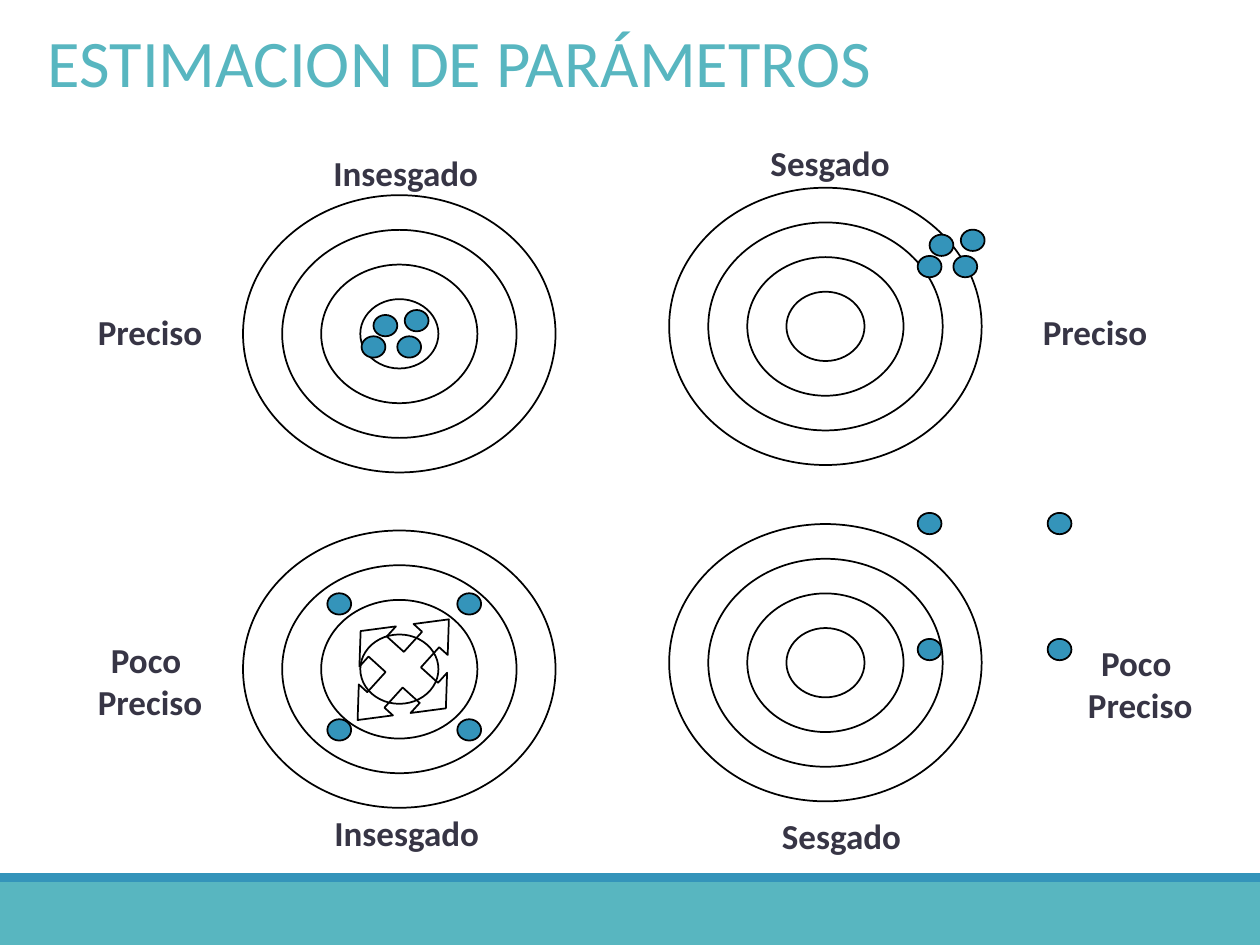
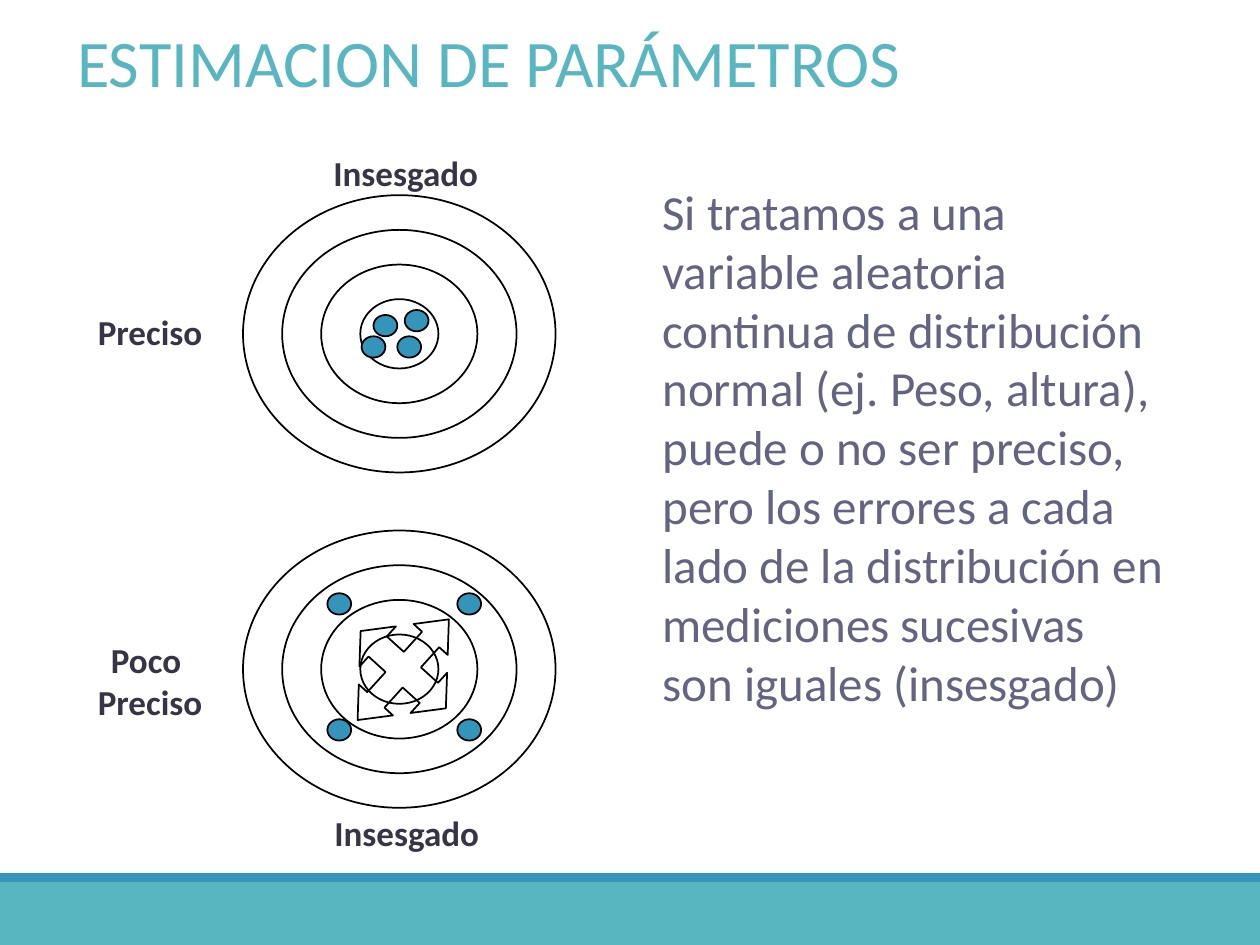
import pptx
import pptx.util
import pptx.dml.color
import pptx.enum.shapes
import pptx.enum.text
from lxml import etree

Cm, Pt = pptx.util.Cm, pptx.util.Pt
SHAPES = pptx.enum.shapes.MSO_SHAPE
ALIGN = pptx.enum.text.PP_ALIGN
ANCHOR = pptx.enum.text.MSO_ANCHOR
AUTO_SIZE = pptx.enum.text.MSO_AUTO_SIZE

# Shared style
FONT = "Calibri"
TEAL, BLUE, BLACK = "58B6C0", "3494BA", "000000"
LABEL_COLOR, BODY_COLOR = "373545", "636382"
TITLE = "ESTIMACION DE PARÁMETROS"
EXPLANATION = (
    "Si tratamos a una variable aleatoria continua de distribución normal "
    "(ej. Peso, altura), puede o no ser preciso, pero los errores a cada lado "
    "de la distribución en mediciones sucesivas son iguales (insesgado)"
)

# Sizes in cm; shot offsets start from the lower left shot
TARGET_WIDTH, TARGET_HEIGHT = 6.3, 5.59
SHOT_WIDTH, SHOT_HEIGHT = 0.48, 0.43
TIGHT = [(0.72, 0), (0, 0), (0.24, -0.43), (0.87, -0.53)]
SPREAD = [(2.62, 0), (0, 0), (0, -2.54), (2.62, -2.54)]

# Left column (unbiased) and right column (biased)
UNBIASED_TARGETS = [(8.05, 6.73), (8.05, 13.49)]
UNBIASED_SHOTS = [(7.29, 6.78, TIGHT), (6.6, 14.5, SPREAD)]
UNBIASED_LABELS = [
    (["Preciso"], 1.55, 6.12, 2.95),
    (["Poco ", "Preciso"], 1.55, 12.73, 2.95),
    (["Insesgado"], 6.32, 16.23, 3.76),
    (["Insesgado"], 6.3, 2.92, 3.76),
]
BIASED_TARGETS = [(16.64, 6.58), (16.64, 13.36)]
BIASED_SHOTS = [(18.5, 5.16, TIGHT), (18.5, 12.88, SPREAD)]
BIASED_LABELS = [
    (["Preciso"], 20.6, 6.12, 2.95),
    (["Poco ", "Preciso"], 21.51, 12.8, 2.95),
    (["Sesgado"], 15.34, 16.28, 3.25),
    (["Sesgado"], 15.11, 2.72, 3.25),
]


def color(hex_code):
    return pptx.dml.color.RGBColor.from_string(hex_code)


def place(shape, left, top, width, height):
    shape.left, shape.top = Cm(left), Cm(top)
    shape.width, shape.height = Cm(width), Cm(height)


def paint(shape, fill=None, line=None):
    shape.shadow.inherit = False
    if fill:
        shape.fill.solid()
        shape.fill.fore_color.rgb = color(fill)
    else:
        shape.fill.background()
    if line:
        shape.line.color.rgb = color(line)
        shape.line.width = Pt(1)
    else:
        shape.line.fill.background()


def style(para, size, hex_code, bold=False, align=ALIGN.LEFT):
    para.alignment = align
    para.font.name = FONT
    para.font.size = Pt(size)
    para.font.bold = bold
    para.font.color.rgb = color(hex_code)


def add_preset(shapes, kind, left, top, width, height, fill=None, line=None):
    shape = shapes.add_shape(kind, Cm(left), Cm(top), Cm(width), Cm(height))
    paint(shape, fill, line)
    return shape


def add_master_bands(deck, page):
    """Draw the footer bands and move them to the back of the master."""
    master_tree = deck.slide_master.shapes.element
    bands = [(19.3 - 1.52, 1.27, TEAL), (17.6, 0.18, BLUE)]
    for number, (top, height, fill) in enumerate(bands):
        band = add_preset(page.shapes, SHAPES.RECTANGLE, 0, top, 25.4, height, fill)
        band.element.nvSpPr.cNvPr.set("id", str(100 + number))
        master_tree.insert(2 + number, band.element)


def fill_placeholder(box, text, size, hex_code):
    frame = box.text_frame
    frame.text = text
    frame.word_wrap = True
    frame.auto_size = AUTO_SIZE.NONE
    frame.vertical_anchor = ANCHOR.TOP
    style(frame.paragraphs[0], size, hex_code)
    return frame.paragraphs[0]


def set_title(page, left, width):
    place(page.shapes.title, left, 0.3, width, 1.88)
    fill_placeholder(page.shapes.title, TITLE, 38, TEAL)


def set_body(page, text):
    body = page.placeholders[1]
    place(body, 13.1, 3.53, 10.6, 11.02)
    para = fill_placeholder(body, text, 28, BODY_COLOR)
    para.space_before = para.space_after = Pt(6)
    # Plain paragraph: no bullet, no hanging indent
    properties = para.font._element.getparent()
    properties.set("marL", "0")
    properties.set("indent", "0")
    bullet = etree.Element(pptx.oxml.ns.qn("a:buNone"))
    properties.insert(list(properties).index(para.font._element), bullet)


def add_target(page, center_x, center_y):
    rings = page.shapes.add_group_shape().shapes
    for quarter in (4, 1, 2, 3):
        width, height = TARGET_WIDTH * quarter / 4, TARGET_HEIGHT * quarter / 4
        add_preset(rings, SHAPES.OVAL, center_x - width / 2, center_y - height / 2,
                   width, height, line=BLACK)


def add_shots(page, left, top, offsets):
    shots = page.shapes.add_group_shape().shapes
    for dx, dy in offsets:
        add_preset(shots, SHAPES.OVAL, left + dx, top + dy,
                   SHOT_WIDTH, SHOT_HEIGHT, BLUE, BLACK)


def add_label(page, lines, left, top, width):
    height = 1.12 + 0.84 * (len(lines) - 1)
    box = page.shapes.add_textbox(Cm(left), Cm(top), Cm(width), Cm(height))
    frame = box.text_frame
    frame.text = "\n".join(lines)
    frame.word_wrap = False
    frame.vertical_anchor = ANCHOR.MIDDLE
    for para in frame.paragraphs:
        style(para, 20, LABEL_COLOR, bold=True, align=ALIGN.CENTER)


def add_spread_arrows(page):
    """Four-way arrow: one arm, turned four times by a right angle."""
    arm = [(-2, -2), (-2, -6), (-4, -6), (0, -10), (4, -6), (2, -6)]
    outline = []
    for _ in range(4):
        outline += arm
        arm = [(-y, x) for x, y in arm]
    builder = page.shapes.build_freeform(*outline[0], scale=(Cm(0.137), Cm(0.116)))
    builder.add_line_segments(outline[1:], close=True)
    arrows = builder.convert_to_shape(Cm(8.13), Cm(13.5))
    arrows.rotation = 312.2
    paint(arrows, line=BLACK)


def add_diagram(page, targets, shots, labels):
    for target in targets:
        add_target(page, *target)
    for group in shots:
        add_shots(page, *group)
    for label in labels:
        add_label(page, *label)
    add_spread_arrows(page)


def main():
    deck = pptx.Presentation()
    deck.slide_width, deck.slide_height = Cm(25.4), Cm(19.05)

    # Slide 1: the four combinations of bias and precision
    page = deck.slides.add_slide(deck.slide_layouts[5])
    add_master_bands(deck, page)
    set_title(page, 0.71, 24.61)
    add_diagram(page, UNBIASED_TARGETS + BIASED_TARGETS,
                UNBIASED_SHOTS + BIASED_SHOTS, UNBIASED_LABELS + BIASED_LABELS)

    # Slide 2: the unbiased case explained
    page = deck.slides.add_slide(deck.slide_layouts[1])
    set_title(page, 1.3, 24)
    add_diagram(page, UNBIASED_TARGETS, UNBIASED_SHOTS, UNBIASED_LABELS)
    set_body(page, EXPLANATION)

    deck.save("out.pptx")


if __name__ == "__main__":
    main()
